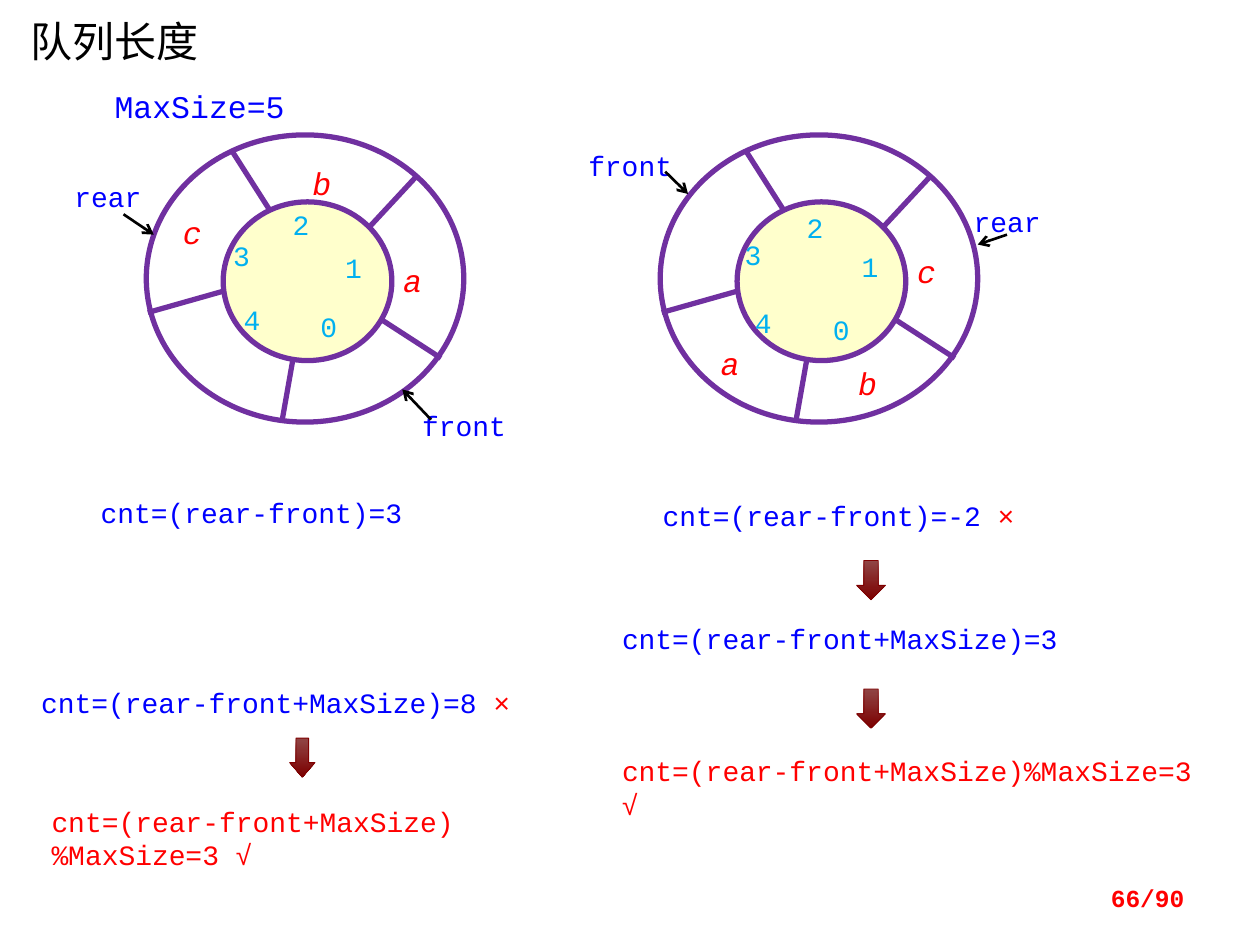
from lxml import etree
from pptx import Presentation
from pptx.dml.color import RGBColor
from pptx.enum.shapes import MSO_CONNECTOR, MSO_SHAPE
from pptx.enum.text import MSO_ANCHOR, MSO_AUTO_SIZE, PP_ALIGN
from pptx.oxml.ns import qn
from pptx.util import Cm, Pt

STRAIGHT = MSO_CONNECTOR.STRAIGHT
OVAL, DOWN_ARROW = MSO_SHAPE.OVAL, MSO_SHAPE.DOWN_ARROW
MIDDLE, RIGHT = MSO_ANCHOR.MIDDLE, PP_ALIGN.RIGHT
GROW = MSO_AUTO_SIZE.SHAPE_TO_FIT_TEXT

THEME = {
    "ring": "7030A0", "core": "FFFFCC", "pointer": "000000",
    "arrow_line": "800000", "arrow_fill": ("904545", "7C0000"),
    "title": dict(name="Times New Roman", size=24, color="000000"),
    "heading": dict(name="Courier New", size=18, color="0000FF"),
    "code": dict(name="Courier New", size=16, color="0000FF"),
    "answer": dict(name="Courier New", size=16, color="FF0000"),
    "mark": dict(name="Arial", size=16, color="FF0000"),
    "index": dict(name="Courier New", size=16, color="00B0F0"),
    "item": dict(name="Courier New", size=18, color="FF0000", italic=True),
    "page": dict(name="Courier New", size=14, color="FF0000", bold=True),
}

# All lengths are in cm; what belongs to a ring is measured from the ring's corner.
RING_SIZE = (6.4, 5.79)
CORE_BOX = (1.55, 1.35, 3.4, 3.2)
SPOKES = [
    (4.75, 3.73, 5.94, 4.5), (4.52, 1.83, 5.44, 0.84), (1.75, 0.36, 2.49, 1.52),
    (2.95, 4.55, 2.74, 5.74), (0.03, 3.58, 1.55, 3.15),
]
LABEL_SIZES = {"index": (0.79, 0.69), "item": (0.79, 0.76), "code": (2.01, 0.69)}
RINGS = [
    {
        "corner": (2.95, 2.72),
        "index": {"0": (3.51, 3.53), "1": (4.01, 2.34), "2": (2.95, 1.47),
                  "3": (1.75, 2.08), "4": (1.96, 3.38)},
        "item": {"a": (5.18, 2.54), "b": (3.35, 0.58), "c": (0.74, 1.57)},
        "code": {"front": (5.56, 5.51), "rear": (-1.45, 0.91)},
        "pointers": [(5.74, 5.74, 5.16, 5.13), (-0.46, 1.6, 0.15, 2.01)],
    },
    {
        "corner": (13.31, 2.72),
        "index": {"0": (3.48, 3.58), "1": (4.06, 2.31), "2": (2.95, 1.52),
                  "3": (1.7, 2.06), "4": (1.91, 3.45)},
        "item": {"a": (1.22, 4.22), "b": (3.99, 4.62), "c": (5.18, 2.36)},
        "code": {"front": (-1.45, 0.28), "rear": (6.32, 1.4)},
        "pointers": [(0.1, 0.74, 0.56, 1.19), (6.99, 2.01, 6.4, 2.21)],
    },
]
FINAL = [("cnt=(rear-front+MaxSize)%MaxSize=3 ", "answer"), ("√", "mark")]
TEXTS = [
    ((0.36, 0.18, 12.7, 1.27), [("队列长度", "title")]),
    ((2.06, 1.63, 4.67, 1.02), [("MaxSize=5", "heading")]),
    ((1.78, 9.86, 8.13, 0.94), [("cnt=(rear-front)=3", "code")]),
    ((13.11, 9.93, 9.32, 0.94), [("cnt=(rear-front)=-2 ", "code"), ("×", "mark")]),
    ((12.29, 12.4, 11.3, 0.94), [("cnt=(rear-front+MaxSize)=3", "code")]),
    ((0.58, 13.69, 11.71, 0.94), [("cnt=(rear-front+MaxSize)=8 ", "code"), ("×", "mark")]),
    ((0.79, 16.08, 11.71, 1.63), FINAL),
    ((12.29, 15.06, 12.29, 1.63), FINAL),
]
PAGE_BOX, PAGE_TEXT = (18.21, 17.65, 5.92, 1.02), "66/90"
STEP_ARROWS = [  # box, length of the head relative to the width
    ((17.27, 11.3, 0.58, 0.79), 0.5),
    ((17.27, 13.89, 0.58, 0.79), 0.5),
    ((5.84, 14.88, 0.51, 0.79), 0.58),
]


def cm(values):
    return [Cm(v) for v in values]


def rgb(color):
    return RGBColor.from_string(color)


def add_text(shapes, box, runs, inset=True):
    s = shapes.add_textbox(*cm(box))
    tf = s.text_frame
    tf.word_wrap = True
    tf.auto_size = GROW
    for side, margin in (("left", 0.25), ("top", 0.13), ("right", 0.25), ("bottom", 0.13)):
        setattr(tf, f"margin_{side}", Cm(margin if inset else 0))
    p = tf.paragraphs[0]
    for text, style in runs:
        r = p.add_run()
        r.text = text
        for key, value in THEME[style].items():
            if key == "color":
                r.font.color.rgb = rgb(value)
            else:
                setattr(r.font, key, Pt(value) if key == "size" else value)
    return tf


def add_line(shapes, ends, color, width, arrow=False):
    s = shapes.add_connector(STRAIGHT, *cm(ends))
    s.line.color.rgb = rgb(color)
    s.line.width = Pt(width)
    if arrow:
        etree.SubElement(s.line._get_or_add_ln(), qn("a:tailEnd"), type="arrow")
    etree.SubElement(s._element.spPr, qn("a:effectLst"))


def add_preset(shapes, kind, box, line, width):
    s = shapes.add_shape(kind, *cm(box))
    s.shadow.inherit = False
    s.line.color.rgb = rgb(line)
    s.line.width = Pt(width)
    return s


def add_ring(shapes, ring):
    """Draw one circular queue with its slots, items and pointers."""
    x, y = ring["corner"]

    def place(ends):
        return [v + d for v, d in zip(ends, (x, y, x, y))]

    group = shapes.add_group_shape().shapes
    add_preset(group, OVAL, (x, y, *RING_SIZE), THEME["ring"], 3).fill.background()
    left, top, *size = CORE_BOX
    core = add_preset(group, OVAL, (x + left, y + top, *size), THEME["ring"], 3)
    core.fill.solid()
    core.fill.fore_color.rgb = rgb(THEME["core"])
    for ends in SPOKES:
        add_line(group, place(ends), THEME["ring"], 3)
    for style, label_size in LABEL_SIZES.items():
        for text, spot in ring[style].items():
            add_text(group, (*place(spot), *label_size), [(text, style)], inset=False)
    for ends in ring["pointers"]:
        add_line(group, place(ends), THEME["pointer"], 1.5, arrow=True)


def add_step_arrow(shapes, box, head):
    s = add_preset(shapes, DOWN_ARROW, box, THEME["arrow_line"], 0.5)
    s.adjustments[1] = head
    s.fill.gradient()
    s.fill.gradient_angle = 270
    for stop, color, position in zip(s.fill.gradient_stops, THEME["arrow_fill"], (0, 1)):
        stop.color.rgb = rgb(color)
        stop.position = position


def main():
    prs = Presentation()
    prs.slide_width, prs.slide_height = Cm(25.4), Cm(19.05)
    shapes = prs.slides.add_slide(prs.slide_layouts[6]).shapes
    for ring in RINGS:
        add_ring(shapes, ring)
    for box, runs in TEXTS:
        add_text(shapes, box, runs)
    for box, head in STEP_ARROWS:
        add_step_arrow(shapes, box, head)
    tf = add_text(shapes, PAGE_BOX, [(PAGE_TEXT, "page")])
    tf.auto_size = MSO_AUTO_SIZE.NONE
    tf.vertical_anchor = MIDDLE
    p = tf.paragraphs[0]
    p.alignment = RIGHT
    p.line_spacing = 0.8
    prs.save("out.pptx")


if __name__ == "__main__":
    main()
